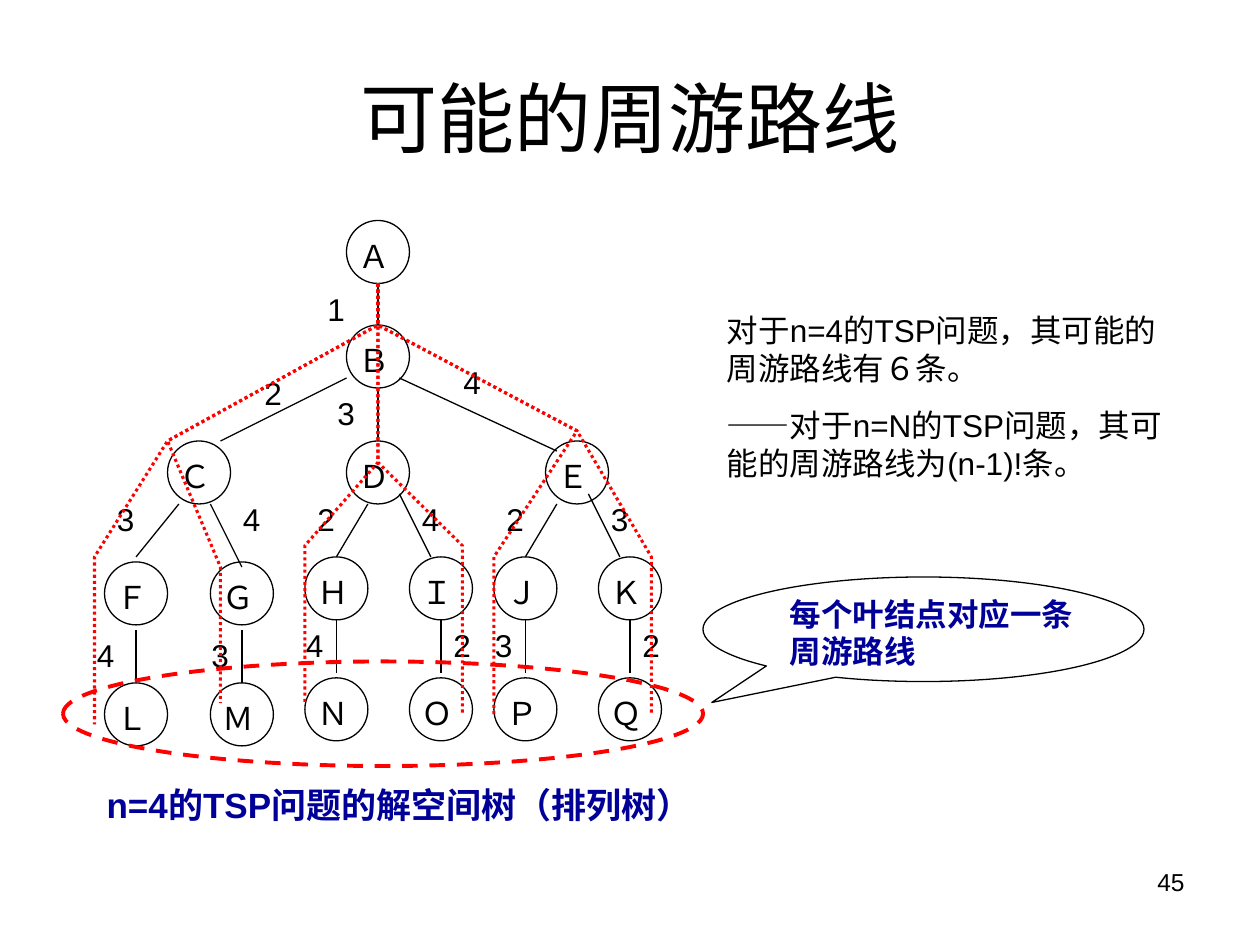
from pptx import Presentation
from pptx import util as u
from pptx.dml.color import RGBColor
from pptx.enum import dml, shapes, text
from pptx.oxml.ns import qn
from lxml import etree

BLACK, RED, NAVY = "000000", "FF0000", "000099"
DASH = dml.MSO_LINE


def tint(code):
    return RGBColor.from_string(code)


class Page:
    font = "Arial"
    size = 18
    thin = 0.75

    def __init__(self, slide):
        self.slide = slide

    def pen(self, item, color=BLACK, width=thin, dash=None):
        item.line.color.rgb = tint(color)
        item.line.width = u.Pt(width)
        if dash:
            item.line.dash_style = dash

    def words(self, x, y, w, h, paras, size=size, color=BLACK, bold=False,
              align=text.PP_ALIGN.LEFT, anchor=text.MSO_ANCHOR.TOP, before=11.2):
        box = self.slide.shapes.add_textbox(*map(u.Inches, (x, y, w, h)))
        frame = box.text_frame
        frame.word_wrap = True
        frame.vertical_anchor = anchor
        for i, line in enumerate(paras):
            para = frame.add_paragraph() if i else frame.paragraphs[0]
            para.alignment = align
            para.space_before = u.Pt(before)
            run = para.add_run()
            run.text = line
            run.font.name = self.font
            run.font.size = u.Pt(size)
            run.font.bold = bold
            run.font.color.rgb = tint(color)

    def shape(self, kind, x, y, w, h, **style):
        item = self.slide.shapes.add_shape(kind, *map(u.Inches, (x, y, w, h)))
        item.shadow.inherit = False
        item.fill.background()
        self.pen(item, **style)
        return item

    def node(self, x, y, name):
        self.shape(shapes.MSO_SHAPE.OVAL, x, y, 0.5, 0.5)
        self.words(x, y + 0.08, 0.42, 0.4, [name])

    def edge(self, *ends):
        item = self.slide.shapes.add_connector(
            shapes.MSO_CONNECTOR.STRAIGHT, *map(u.Inches, ends))
        etree.SubElement(item._element.spPr, qn("a:effectLst"))
        self.pen(item)

    def cost(self, x, y, value):
        self.words(x, y, 0.33, 0.4, [value])

    def route(self, *stops):
        start, *rest = [(u.Inches(x), u.Inches(y)) for x, y in stops]
        path = self.slide.shapes.build_freeform(*start)
        path.add_line_segments(rest, close=False)
        item = path.convert_to_shape()
        item.shadow.inherit = False
        item.fill.background()
        self.pen(item, RED, 1.75, DASH.ROUND_DOT)


def main():
    deck = Presentation()
    deck.slide_width, deck.slide_height = u.Inches(10), u.Inches(7.5)
    page = Page(deck.slides.add_slide(deck.slide_layouts[6]))

    page.words(7.17, 6.83, 2.33, 0.52, ["45"], size=14, before=0,
               align=text.PP_ALIGN.RIGHT)
    page.words(0.5, 0.3, 9, 1.25, ["可能的周游路线"], size=44, before=0,
               align=text.PP_ALIGN.CENTER, anchor=text.MSO_ANCHOR.MIDDLE)

    for x, y, name in [(2.75, 1.75, "Ａ"), (2.75, 2.58, "Ｂ"), (1.33, 3.5, "Ｃ"),
                       (2.75, 3.5, "Ｄ"), (4.33, 3.5, "Ｅ")]:
        page.node(x, y, name)

    twigs = [(0.83, 4.46, "Ｆ", "Ｌ"), (1.67, 4.46, "Ｇ", "Ｍ"),
             (2.42, 4.42, "Ｈ", "Ｎ"), (3.25, 4.42, "Ｉ", "Ｏ"),
             (3.92, 4.42, "Ｊ", "Ｐ"), (4.75, 4.42, "Ｋ", "Ｑ")]
    for x, y, name, leaf in twigs:
        page.node(x, y, name)
        page.node(x, y + 0.96, leaf)
        top = 5 if y > 4.42 else 4.92
        page.edge(x + 0.25, top, x + 0.25, top + 0.42)

    for ends in [(3, 2.25, 3, 2.58), (3, 3.08, 3, 3.5), (2.75, 3, 1.75, 3.5),
                 (4.42, 3.58, 3.17, 3), (2.92, 4, 2.67, 4.42),
                 (1.42, 4, 1.08, 4.42), (4.42, 4, 4.17, 4.42),
                 (4.92, 4.42, 4.67, 3.92), (3.42, 4.42, 3.17, 3.92),
                 (1.92, 4.5, 1.67, 4)]:
        page.edge(*ends)

    costs = [(2.5, 2.25, "1"), (2.58, 3.08, "3"), (3.58, 2.83, "4"), (2, 2.92, "2")]
    costs += [(x, 3.92, n) for x, n in
              zip((0.83, 1.83, 2.42, 3.25, 3.92, 4.75), "342423")]
    costs += [(0.67, 5, "4"), (1.58, 5, "3")]
    costs += [(x, 4.92, n) for x, n in zip((2.33, 3.5, 3.83, 5), "4232")]
    for x, y, value in costs:
        page.cost(x, y, value)

    page.words(0.67, 6.17, 5, 0.77, ["n=4的TSP问题的解空间树（排列树）"], size=20,
               color=NAVY, bold=True, align=text.PP_ALIGN.CENTER, before=12.5)

    left, mid, right = (1.33, 3.5), (3, 3.67), (4.58, 3.42)
    for turn, x, y, end in [(left, 0.75, 4.42, 5.75), (left, 1.75, 4.5, 5.58),
                            (mid, 2.42, 4.33, 5.58), (mid, 3.67, 4.33, 5.67),
                            (right, 3.92, 4.42, 5.67), (right, 5.17, 4.42, 5.67)]:
        page.route((3, 2.25), (3, 2.58), turn, (x, y), (x, end))

    page.words(5.67, 2.42, 3.67, 1.46, [
        "对于n=4的TSP问题，其可能的周游路线有６条。",
        "——对于n=N的TSP问题，其可能的周游路线为(n-1)!条。"])

    page.shape(shapes.MSO_SHAPE.OVAL, 0.5, 5.25, 5.08, 0.83,
               color=RED, width=2.25, dash=DASH.DASH)
    call = page.shape(shapes.MSO_SHAPE.OVAL_CALLOUT, 5.58, 4.58, 3.5, 0.83)
    call.adjustments[0], call.adjustments[1] = -0.48, 0.7
    page.words(6.17, 4.67, 2.58, 0.7, ["每个叶结点对应一条周游路线"],
               color=NAVY, bold=True)

    deck.save("out.pptx")


if __name__ == "__main__":
    main()
